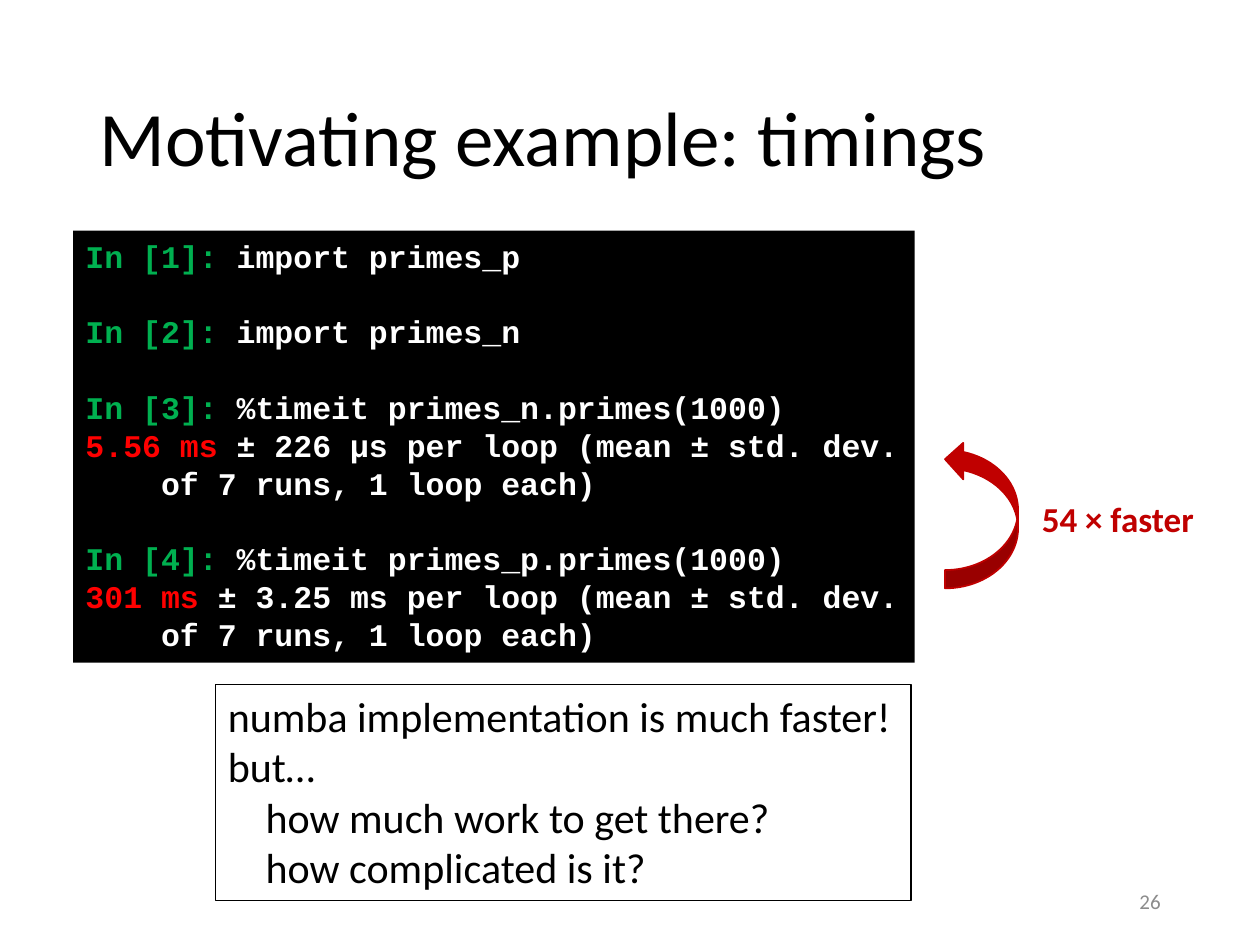
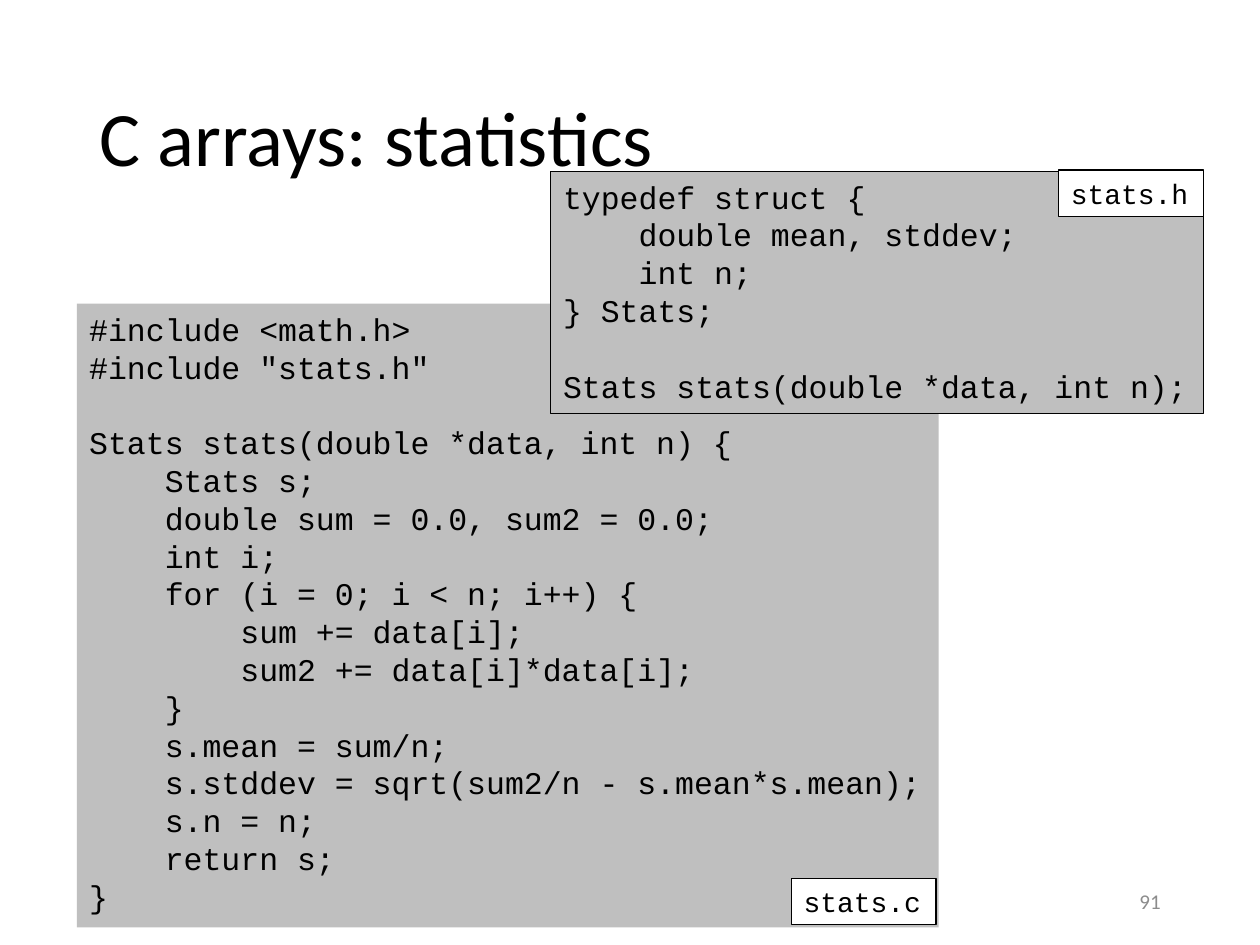
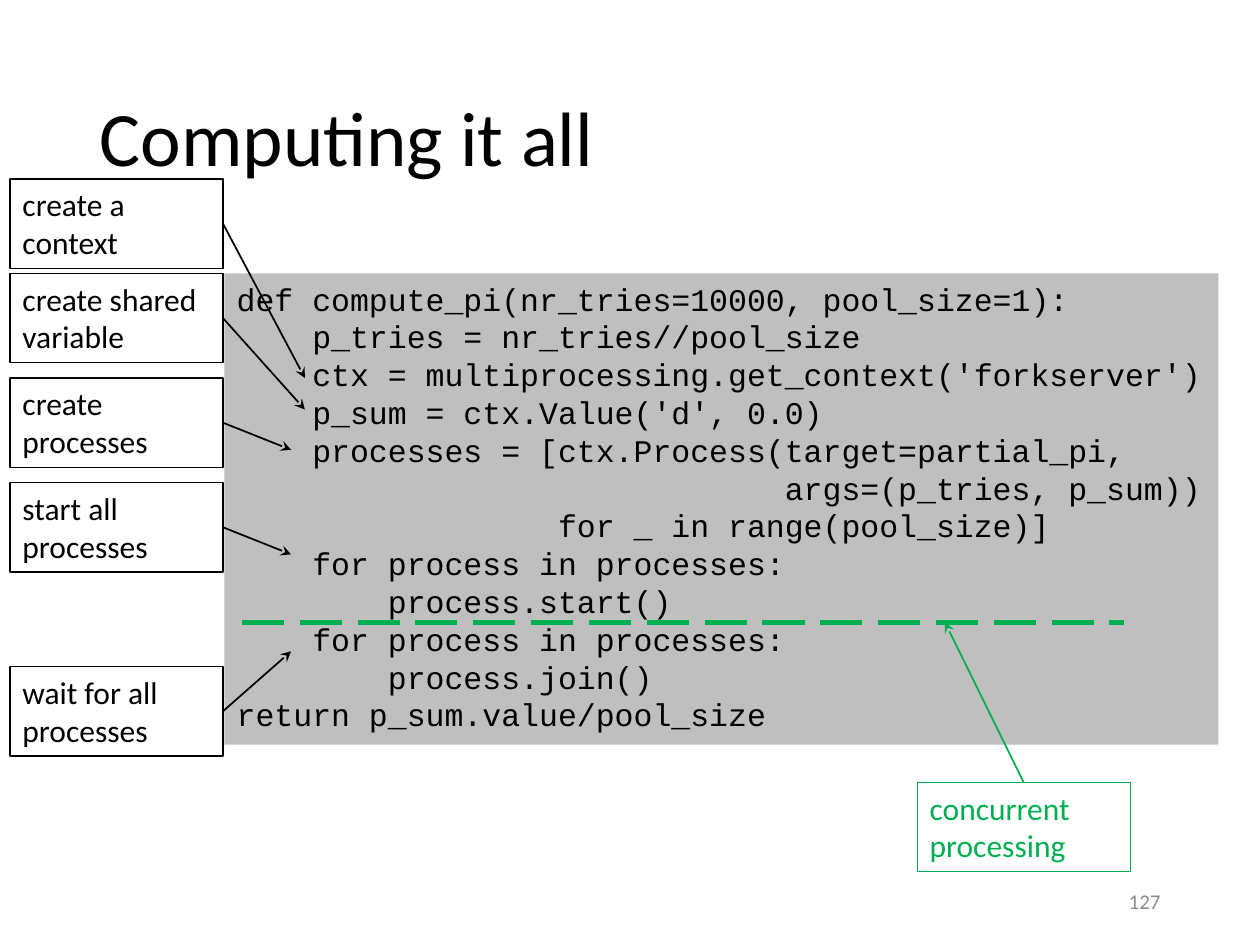
"""Build three slides on code timings, C arrays and parallel processes."""
import pptx
import pptx.dml.color
import pptx.enum.dml
import pptx.enum.shapes
import pptx.enum.text
import pptx.oxml
import pptx.oxml.ns
import pptx.util
from pptx.util import Inches

INK, PAPER, GREY, DIM = "000000", "FFFFFF", "BFBFBF", "8C8C8C"
GREEN, RED, DARK = "00B050", "FF0000", "C00000"
SANS, MONO = "Calibri", "Courier New"
GAP = 21.6

HEADER = """typedef struct {
    double mean, stddev;
    int n;
} Stats;

Stats stats(double *data, int n);"""

SOURCE = """#include <math.h>
#include "stats.h"

Stats stats(double *data, int n) {
    Stats s;
    double sum = 0.0, sum2 = 0.0;
    int i;
    for (i = 0; i < n; i++) {
        sum += data[i];
        sum2 += data[i]*data[i];
    }
    s.mean = sum/n;
    s.stddev = sqrt(sum2/n - s.mean*s.mean);
    s.n = n;
    return s;
}"""

PYTHON = """def compute_pi(nr_tries=10000, pool_size=1):
    p_tries = nr_tries//pool_size
    ctx = multiprocessing.get_context('forkserver')
    p_sum = ctx.Value('d', 0.0)
    processes = [ctx.Process(target=partial_pi,
                             args=(p_tries, p_sum))
                 for _ in range(pool_size)]
    for process in processes:
        process.start()
    for process in processes:
        process.join()
return p_sum.value/pool_size"""

SHELL = [
    [("In [1]:", GREEN), (" import primes_p", PAPER)],
    [],
    [("In [2]:", GREEN), (" import primes_n", PAPER)],
    [],
    [("In [3]:", GREEN), (" %timeit primes_n.primes(1000)", PAPER)],
    [("5.56 ms", RED), (" ± 226 µs per loop (mean ± std. dev.", PAPER)],
    [("    of 7 runs, 1 loop each)", PAPER)],
    [],
    [("In [4]:", GREEN), (" %timeit primes_p.primes(1000)", PAPER)],
    [("301 ms", RED), (" ± 3.25 ms per loop (mean ± std. dev.", PAPER)],
    [("    of 7 runs, 1 loop each)", PAPER)],
]

STEPS = [
    ("create a\ncontext", 1.42, (2.42, 3)),
    ("create shared\nvariable", 2.17, (2.42, 3.25)),
    ("create\nprocesses", 3, (2.31, 3.57)),
    ("start all\nprocesses", 3.83, (2.31, 4.4)),
    ("wait for all\nprocesses", 5.29, (2.31, 5.17)),
]


def paint(target, color):
    """Give a fill, line or font colour format a hex colour."""
    target.rgb = pptx.dml.color.RGBColor.from_string(color)


def add_run(para, text, size, color, font=SANS, bold=False):
    """Append one formatted run."""
    run = para.add_run()
    run.text = text
    run.font.size = pptx.util.Pt(size)
    run.font.name = font
    run.font.bold = bold
    paint(run.font.color, color)


def add_box(slide, at, fill=None, edge=None, wrap=False):
    """Add an empty text box with optional fill and border."""
    box = slide.shapes.add_textbox(*map(Inches, at))
    box.text_frame.word_wrap = wrap
    if fill:
        box.fill.solid()
        paint(box.fill.fore_color, fill)
    if edge:
        box.line.width = pptx.util.Pt(0.75)
        paint(box.line.color, edge)
    return box


def next_para(frame):
    """Return the empty first paragraph or a new one."""
    first = frame.paragraphs[0]
    return frame.add_paragraph() if first.runs else first


def add_code(slide, at, lines, fill, edge=None, bold=False, size=18):
    """Add a code panel; an empty line becomes space before the next."""
    frame = add_box(slide, at, fill, edge).text_frame
    gap = False
    for line in lines:
        if line:
            para = next_para(frame)
            if gap:
                para.space_before = pptx.util.Pt(GAP)
            for text, color in line:
                add_run(para, text, size, color, MONO, bold)
        gap = not line


def plain(code):
    """Turn code into lines of single black runs."""
    return [[(line, INK)] if line else [] for line in code.splitlines()]


def add_tag(slide, left, top, name):
    """Add a file name tag."""
    add_code(slide, (left, top, 1.15, 0.37), plain(name), PAPER, INK, size=16)


def add_label(slide, left, top, text, color=INK):
    """Add a bordered label with line breaks."""
    box = add_box(slide, (left, top, 1.69, 0.71), edge=color, wrap=True)
    para = box.text_frame.paragraphs[0]
    for i, part in enumerate(text.split("\n")):
        if i:
            para.add_line_break()
        add_run(para, part, 18, color)
    return box


def add_line(slide, start, end, color, width=1):
    """Add a straight line without shadow."""
    line = slide.shapes.add_connector(
        pptx.enum.shapes.MSO_CONNECTOR.STRAIGHT, *map(Inches, start + end))
    line.line.width = pptx.util.Pt(width)
    paint(line.line.color, color)
    pptx.oxml.ns.qn("a:effectLst")
    line._element.spPr.append(pptx.oxml.parse_xml(
        "<a:effectLst %s/>" % pptx.oxml.ns.nsdecls("a")))
    return line


def add_arrow(slide, box, side, end, color=INK):
    """Draw an arrow from a side of a box to a point."""
    line = add_line(slide, end, end, color)
    line.begin_connect(box, side)
    line.line._get_or_add_ln().append(pptx.oxml.parse_xml(
        '<a:tailEnd %s type="stealth"/>' % pptx.oxml.ns.nsdecls("a")))


def add_slide(deck, title, number):
    """Add a slide with its title and number."""
    slide = deck.slides.add_slide(deck.slide_layouts[5])
    head = slide.shapes.title
    head.left, head.top, head.width, head.height = map(
        Inches, (0.69, 0.4, 8.62, 1.45))
    frame = head.text_frame
    frame.auto_size = pptx.enum.text.MSO_AUTO_SIZE.NONE
    frame.vertical_anchor = pptx.enum.text.MSO_ANCHOR.MIDDLE
    para = frame.paragraphs[0]
    para.alignment = pptx.enum.text.PP_ALIGN.LEFT
    para.line_spacing = 0.9
    add_run(para, title, 44, INK)
    foot = add_box(slide, (7.06, 6.95, 2.25, 0.4), wrap=True).text_frame
    foot.vertical_anchor = pptx.enum.text.MSO_ANCHOR.MIDDLE
    foot.paragraphs[0].alignment = pptx.enum.text.PP_ALIGN.RIGHT
    add_run(foot.paragraphs[0], str(number), 12, DIM)
    return slide


def add_turn(slide):
    """Add the curved arrow and its speed-up note."""
    turn = slide.shapes.add_shape(
        pptx.enum.shapes.MSO_SHAPE.CURVED_LEFT_ARROW,
        *map(Inches, (7.5, 3.5, 0.58, 1.17)))
    turn.shadow.inherit = False
    turn.fill.solid()
    paint(turn.fill.fore_color, DARK)
    paint(turn.line.color, DARK)
    turn.line.width = pptx.util.Pt(1)
    turn._element.spPr.get_or_add_xfrm().set("flipV", "1")
    note = add_box(slide, (8.17, 3.9, 1.43, 0.44))
    add_run(note.text_frame.paragraphs[0], "54 × faster", 20, DARK, bold=True)


def add_notes(slide):
    """Add the framed remarks with indented questions."""
    frame = add_box(slide, (1.71, 5.43, 5.52, 1.72), edge=INK).text_frame
    for text, inset in (("numba implementation is much faster!", 0),
                        ("but…", 0),
                        ("how much work to get there?", 0.3),
                        ("how complicated is it?", 0.3)):
        para = next_para(frame)
        para._p.get_or_add_pPr().set("marL", str(Inches(inset)))
        add_run(para, text, 24, INK)


def main():
    """Build and save the deck."""
    deck = pptx.Presentation()
    deck.slide_width, deck.slide_height = Inches(10), Inches(7.5)

    slide = add_slide(deck, "Motivating example: timings", 26)
    add_code(slide, (0.58, 1.83, 6.68, 3.43), SHELL, INK, bold=True)
    add_turn(slide)
    add_notes(slide)

    slide = add_slide(deck, "C arrays: statistics", 91)
    add_code(slide, (0.61, 2.41, 6.84, 4.95), plain(SOURCE), GREY)
    add_tag(slide, 6.28, 6.97, "stats.c")
    add_code(slide, (4.37, 1.36, 5.18, 1.92), plain(HEADER), GREY, INK)
    add_tag(slide, 8.4, 1.35, "stats.h")

    slide = add_slide(deck, "Computing it all", 127)
    add_code(slide, (1.78, 2.17, 7.89, 3.74), plain(PYTHON), GREY)
    for text, top, end in STEPS:
        add_arrow(slide, add_label(slide, 0.08, top, text), 3, end)
    fence = add_line(slide, (1.92, 4.94), (8.92, 4.94), GREEN, 3)
    fence.line.dash_style = pptx.enum.dml.MSO_LINE.LONG_DASH
    label = add_label(slide, 7.28, 6.21, "concurrent\nprocessing", GREEN)
    add_arrow(slide, label, 0, (7.5, 4.94), GREEN)

    deck.save("out.pptx")


if __name__ == "__main__":
    main()
